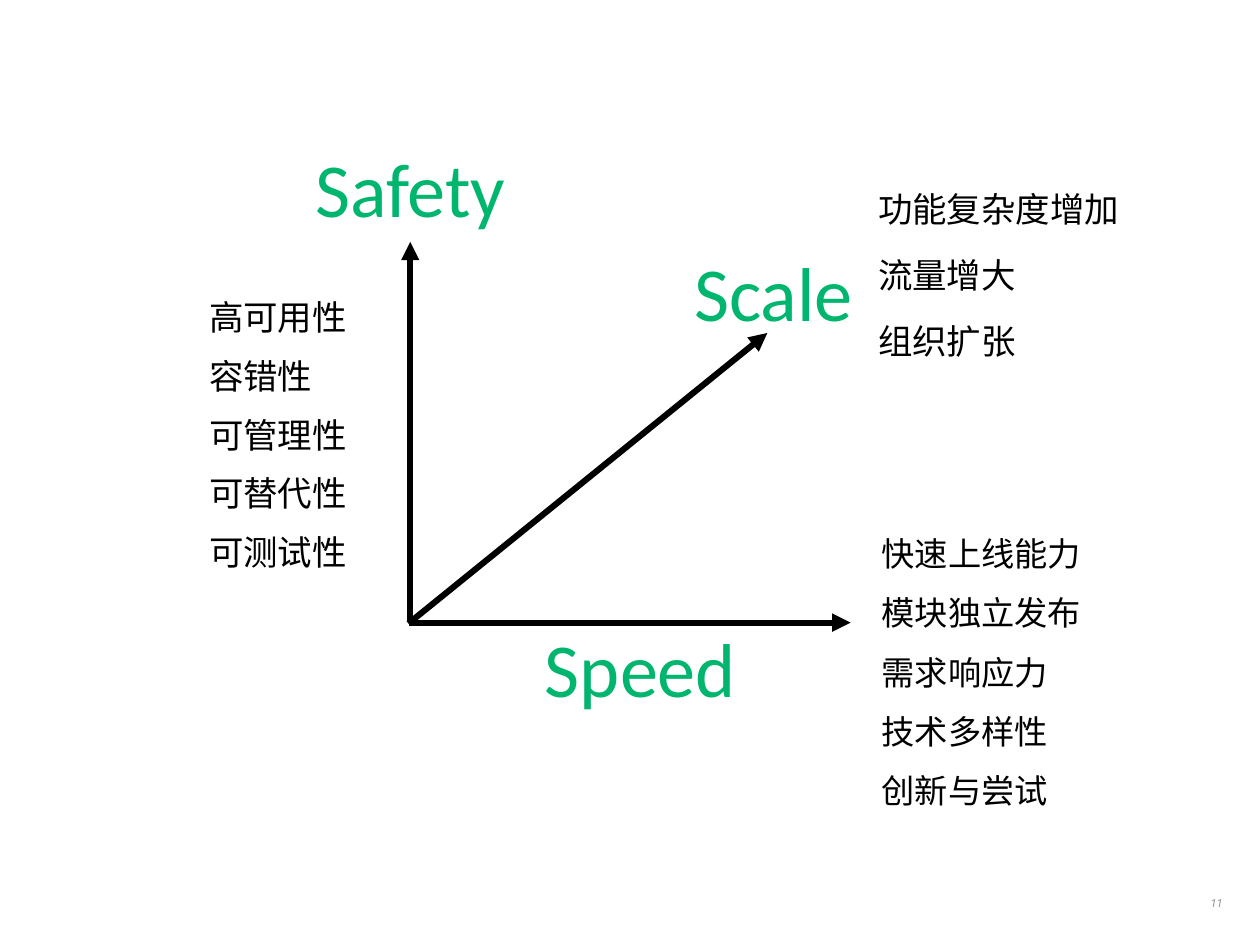
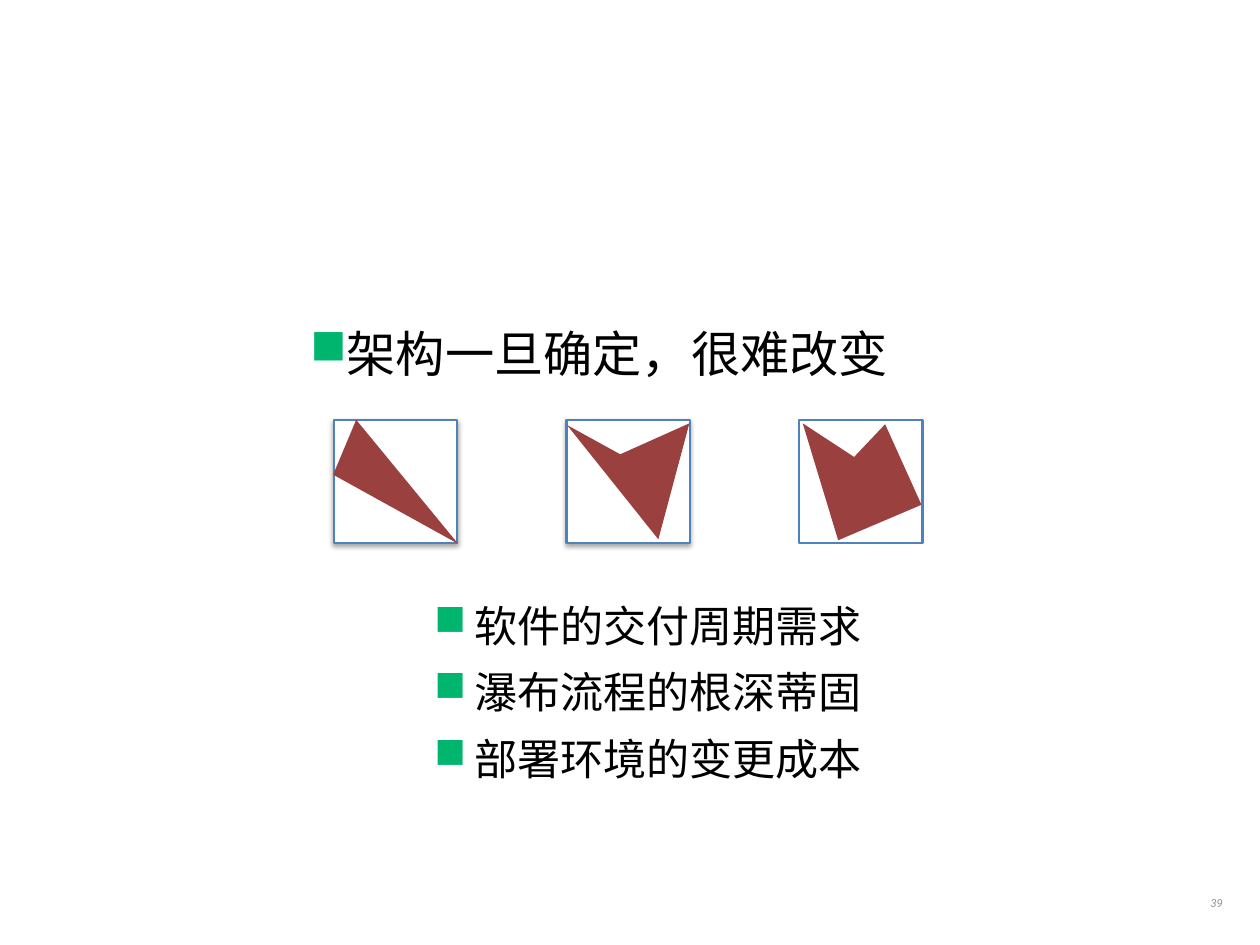
from pptx import Presentation
from pptx.dml.color import RGBColor
from pptx.enum.shapes import MSO_CONNECTOR, MSO_SHAPE
from pptx.enum.text import MSO_ANCHOR, PP_ALIGN
from pptx.oxml import parse_xml
from pptx.oxml.ns import nsdecls, qn
from pptx.util import Pt

LEFT, MID, RIGHT = PP_ALIGN.LEFT, PP_ALIGN.CENTER, PP_ALIGN.RIGHT
TOP = MSO_ANCHOR.TOP
RECT = MSO_SHAPE.RECTANGLE
LINE = MSO_CONNECTOR.STRAIGHT
PX = 9144


class Theme:
    ink, green, grey = "000000", "00B56E", "929396"
    blue, red, white = "4F81BD", "9A403E", "FFFFFF"
    body, alt = "Calibri", "Roboto"
    axis, head, item, note, page = 62, 40, 35, 28, 9
    thick, thin = 5, 2


AXES = [
    ("Safety", (463, 152), ((463, 701), (463, 273))),
    ("Scale", (873, 270), ((461, 704), (866, 376))),
    ("Speed", (723, 695), ((462, 703), (960, 703))),
]
NOTES = [
    (229, 327, 593, Theme.note,
     ["高可用性", "容错性", "可管理性", "可替代性", "可测试性"]),
    (984, 205, 354, Theme.note,
     ["功能复杂度增加", "流量增大", "组织扩张"]),
    (988, 595, 863, Theme.note - 1,
     ["快速上线能力", "模块独立发布", "需求响应力", "技术多样性", "创新与尝试"]),
]
CLAIM = ["架构一旦确定，很难改变"]
CAUSES = ["软件的交付周期需求", "瀑布流程的根深蒂固", "部署环境的变更成本"]
SIDE, FIRST, LAST, ROW = 139, 377, 902, 474
SHARDS = [
    (True, [(402, 474), (376, 536), (517, 614)]),
    (True, [(640, 480), (700, 513), (778, 478), (743, 609)]),
    (False, [(906, 478), (946, 610), (1040, 570), (999, 479), (964, 516)]),
]


def px(*nums):
    return [round(n * PX) for n in nums]


def rgb(code):
    return RGBColor.from_string(code)


def spread(first, last, count):
    step = (last - first) / (count - 1)
    return [first + step * i for i in range(count)]


def bullet(para, dent):
    props = para._p.get_or_add_pPr()
    props.set("marL", str(dent * PX))
    props.set("indent", str(-dent * PX))
    props.append(parse_xml(
        f'<a:buClr {nsdecls("a")}><a:srgbClr val="{Theme.green}"/></a:buClr>'))
    props.append(parse_xml(f'<a:buChar {nsdecls("a")} char="■"/>'))


def write(slide, box, lines, size, color=Theme.ink, font=Theme.body,
          align=LEFT, pad=7, dent=0, gap=0, lead=None, slant=False):
    frame = slide.shapes.add_textbox(*px(*box)).text_frame
    frame.word_wrap = True
    frame.vertical_anchor = TOP
    frame.margin_left = frame.margin_right = pad * PX
    frame.margin_top = frame.margin_bottom = pad * PX
    frame.text = "\n".join(lines)
    for i, para in enumerate(frame.paragraphs):
        para.alignment = align
        if dent:
            bullet(para, dent)
        if gap and i:
            para.space_before = Pt(gap)
        if lead:
            para.line_spacing = lead
        for run in para.runs:
            run.font.name = font
            run.font.size = Pt(size)
            run.font.italic = slant
            run.font.color.rgb = rgb(color)


def arrow(slide, start, end):
    link = slide.shapes.add_connector(LINE, *px(*start, *end))
    link.line.color.rgb = rgb(Theme.ink)
    link.line.width = Pt(Theme.thick)
    link.line._get_or_add_ln().append(
        parse_xml(f'<a:tailEnd {nsdecls("a")} type="triangle"/>'))
    link._element.spPr.append(parse_xml(f'<a:effectLst {nsdecls("a")}/>'))


def paint(shape, fill, edge=None):
    shape.shadow.inherit = False
    shape.fill.solid()
    shape.fill.fore_color.rgb = rgb(fill)
    if edge:
        shape.line.color.rgb = rgb(edge)
        shape.line.width = Pt(Theme.thin)
    else:
        shape.line.fill.background()


def shade(shape):
    shape._element.spPr.find(qn("a:effectLst")).append(parse_xml(
        f'<a:outerShdw {nsdecls("a")} blurRad="{Pt(4)}" dist="{Pt(2)}" '
        f'dir="5400000" rotWithShape="0"><a:srgbClr val="{Theme.ink}">'
        '<a:alpha val="35000"/></a:srgbClr></a:outerShdw>'))


def start(deck, number):
    slide = deck.slides.add_slide(deck.slide_layouts[6])
    write(slide, (1330, 1012, 50, 15), [number], Theme.page, Theme.grey,
          Theme.alt, RIGHT, pad=0, slant=True)
    return slide


def draw_axes(slide):
    for x, first, last, size, words in NOTES:
        for y, word in zip(spread(first, last, len(words)), words):
            write(slide, (x, y, 300, 53), [word], size)
    for name, (x, y), ends in AXES:
        arrow(slide, *ends)
        write(slide, (x - 150, y, 300, 120), [name], Theme.axis,
              Theme.green, align=MID)


def draw_shards(slide):
    write(slide, (343, 345, 700, 70), CLAIM, Theme.head, dent=38, lead=1.2)
    for x, (raised, dots) in zip(spread(FIRST, LAST, len(SHARDS)), SHARDS):
        frame = slide.shapes.add_shape(RECT, *px(x, ROW, SIDE, SIDE))
        paint(frame, Theme.white, Theme.blue)
        if raised:
            shade(frame)
        path = slide.shapes.build_freeform(*dots[0], scale=PX)
        path.add_line_segments(dots[1:], close=True)
        paint(path.convert_to_shape(), Theme.red)
    write(slide, (485, 672, 540, 193), CAUSES, Theme.item, font=Theme.alt,
          pad=5, dent=45, gap=12)


def main():
    deck = Presentation()
    deck.slide_width, deck.slide_height = px(1422, 1067)
    draw_axes(start(deck, "11"))
    draw_shards(start(deck, "39"))
    deck.save("out.pptx")


if __name__ == "__main__":
    main()
